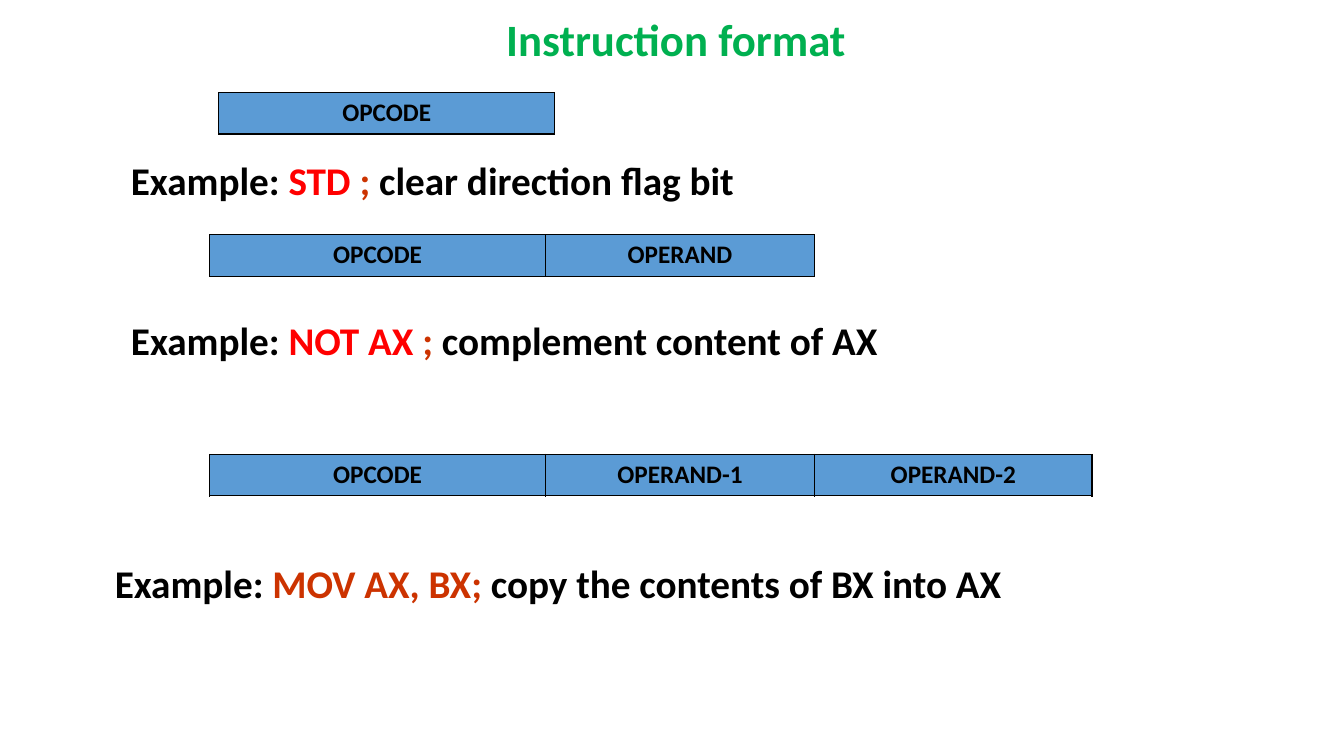
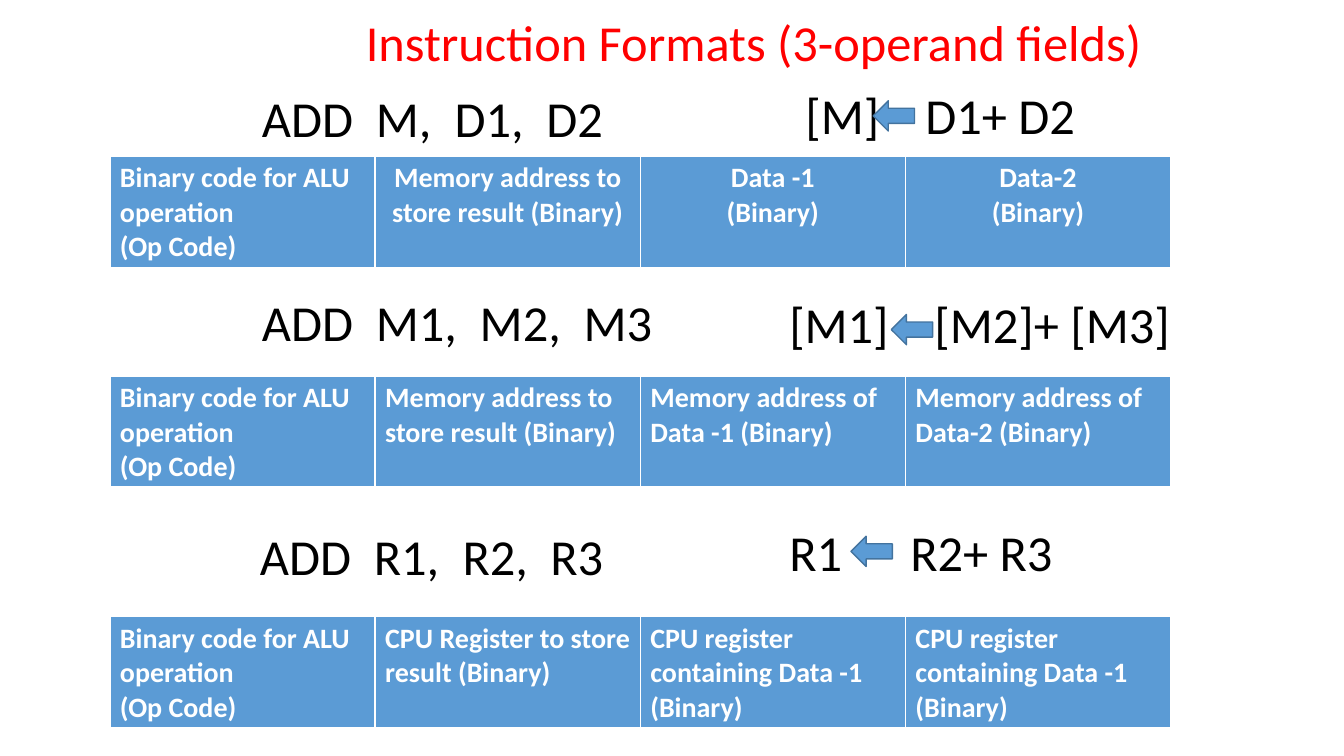
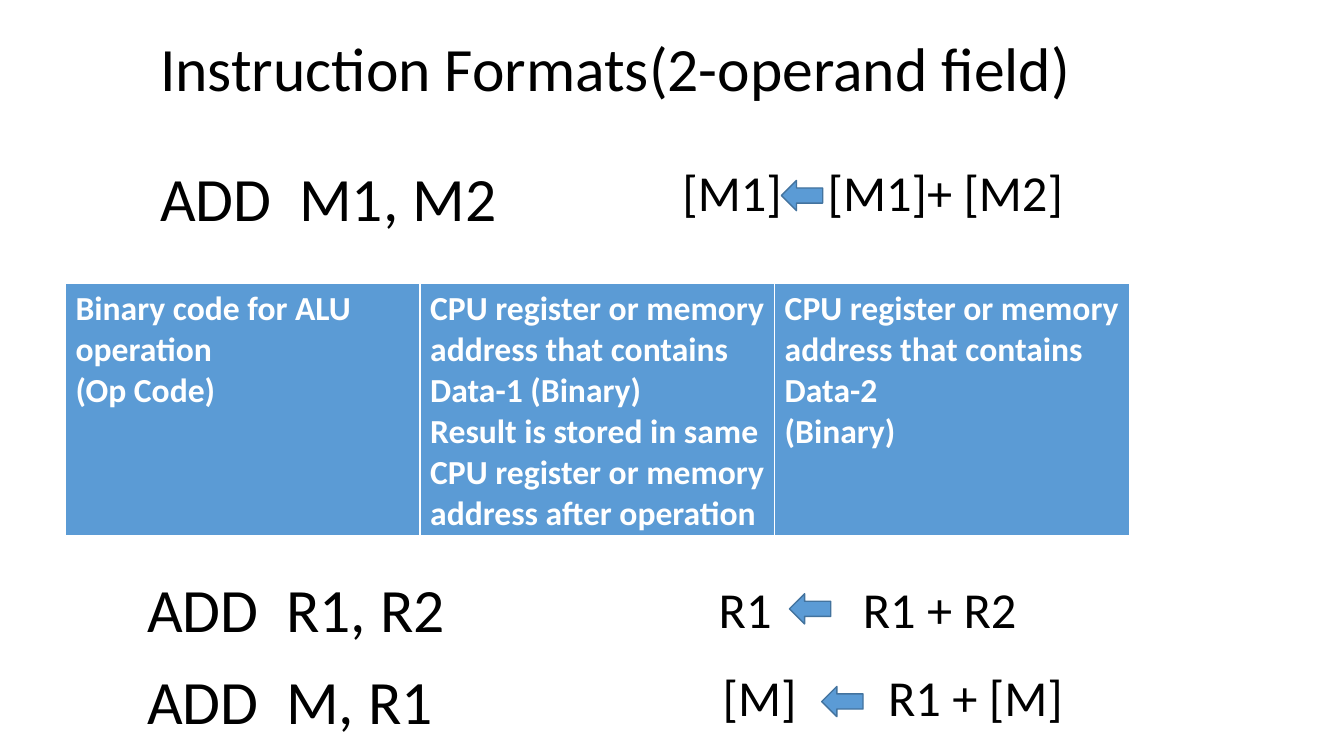
import pptx
import pptx.dml.color
import pptx.enum.shapes
import pptx.enum.text
import pptx.oxml
import pptx.oxml.ns
import pptx.util
from pptx.util import Inches

RGBColor = pptx.dml.color.RGBColor
Align = pptx.enum.text.PP_ALIGN
Anchor = pptx.enum.text.MSO_ANCHOR

FONT = "Calibri"
BLACK = RGBColor(0x00, 0x00, 0x00)
WHITE = RGBColor(0xFF, 0xFF, 0xFF)
GREEN = RGBColor(0x00, 0xB0, 0x50)
RED = RGBColor(0xFF, 0x00, 0x00)
RUST = RGBColor(0xCC, 0x33, 0x00)
BLUE = RGBColor(0x5B, 0x9B, 0xD5)
DARK_BLUE = RGBColor(0x43, 0x73, 0x9E)

OP_CODE = "Binary code for ALU operation\n(Op Code)"
FIELD_HEIGHT = 0.41
STATEMENT_HEIGHTS = {36: 0.61, 44: 0.91}


def set_font(paragraph, size, color, bold=False):
    font = paragraph.font
    font.name = FONT
    font.size = pptx.util.Pt(size)
    font.bold = bold
    font.color.rgb = color


def add_text_box(slide, box):
    text_frame = slide.shapes.add_textbox(*map(Inches, box)).text_frame
    text_frame.word_wrap = True
    return text_frame


def add_line(slide, text, box, size, color=BLACK, bold=False, align=Align.LEFT, tabs=()):
    """Add one vertically centred line; tabs are stops in inches from the text's left edge."""
    text_frame = add_text_box(slide, box)
    text_frame.vertical_anchor = Anchor.MIDDLE
    paragraph = text_frame.paragraphs[0]
    paragraph.text = text
    paragraph.alignment = align
    paragraph.line_spacing = 0.9
    set_font(paragraph, size, color, bold)
    if tabs:
        properties = paragraph._p.get_or_add_pPr()
        tab_list = pptx.oxml.parse_xml(f"<a:tabLst {pptx.oxml.ns.nsdecls('a')}/>")
        for stop in tabs:
            tab_list.append(pptx.oxml.parse_xml(
                f'<a:tab {pptx.oxml.ns.nsdecls("a")} pos="{Inches(stop)}" algn="l"/>'))
        properties.append(tab_list)


def set_borders(cell, color):
    properties = cell._tc.get_or_add_tcPr()
    for index, side in enumerate(("lnL", "lnR", "lnT", "lnB")):
        properties.insert(index, pptx.oxml.parse_xml(
            f'<a:{side} {pptx.oxml.ns.nsdecls("a")} w="12700"><a:solidFill>'
            f'<a:srgbClr val="{color}"/></a:solidFill></a:{side}>'))


def add_field_table(slide, box, texts, size, color, border, alignments=None):
    """Add a one-row table with equal columns, one for each instruction field."""
    table = slide.shapes.add_table(1, len(texts), *map(Inches, box)).table
    alignments = alignments or [Align.LEFT] * len(texts)
    for cell, text, alignment in zip(table.rows[0].cells, texts, alignments):
        cell.text = text
        cell.fill.solid()
        cell.fill.fore_color.rgb = BLUE
        set_borders(cell, border)
        for paragraph in cell.text_frame.paragraphs:
            paragraph.alignment = alignment
            set_font(paragraph, size, color, bold=True)


def add_format_row(slide, left, top, fields):
    for text, width in fields:
        add_field_table(slide, (left, top, width, FIELD_HEIGHT), [text], 18,
                        BLACK, BLACK, [Align.CENTER])
        left += width


def add_example(slide, box, parts):
    paragraph = add_text_box(slide, box).paragraphs[0]
    set_font(paragraph, 28, BLACK, bold=True)
    for text, color in [("Example: ", BLACK)] + parts:
        run = paragraph.add_run()
        run.text = text
        run.font.color.rgb = color


def add_statement(slide, left, top, text, size, tabs):
    width = 4.17 if size == 36 else 4.45
    add_line(slide, text, (left, top, width, STATEMENT_HEIGHTS[size]), size, tabs=tabs)


def add_transfer(slide, left, top, text, tab, arrow_offset):
    """Add a register transfer with its arrow at an offset from the text box."""
    add_statement(slide, left, top, text, 36, [tab])
    dx, dy = arrow_offset
    arrow = slide.shapes.add_shape(
        pptx.enum.shapes.MSO_SHAPE.LEFT_ARROW,
        Inches(left + dx), Inches(top + dy), Inches(0.41), Inches(0.3))
    arrow.shadow.inherit = False
    arrow.fill.solid()
    arrow.fill.fore_color.rgb = BLUE
    arrow.line.color.rgb = DARK_BLUE
    arrow.line.width = pptx.util.Pt(1)


def build_format_slide(slide):
    add_line(slide, "Instruction format", (1.83, 0.08, 9.75, 0.67), 32, GREEN,
             bold=True, align=Align.CENTER)
    opcode = ("OPCODE", 3.33)
    add_format_row(slide, 2.17, 0.92, [opcode])
    add_format_row(slide, 2.08, 2.33, [opcode, ("OPERAND", 2.67)])
    add_format_row(slide, 2.08, 4.51, [opcode, ("OPERAND-1", 2.67), ("OPERAND-2", 2.75)])
    add_example(slide, (1.2, 1.5, 9.46, 0.67),
                [("STD", RED), (" ; ", RUST), ("clear direction flag bit", BLACK)])
    add_example(slide, (1.2, 3.09, 10.05, 0.67),
                [("NOT AX ", RED), ("; ", RUST), ("complement content of AX", BLACK)])
    add_example(slide, (1.04, 5.5, 10.37, 1.42),
                [("MOV AX, BX; ", RUST), ("copy the contents of BX into AX", BLACK)])


def build_three_operand_slide(slide):
    add_line(slide, "Instruction Formats (3-operand fields)", (3.53, 0.13, 9.06, 0.64), 36, RED)
    tables = [
        (1.55, ["Memory address to store result (Binary)", "Data -1\n(Binary)",
                "Data-2\n(Binary)"], Align.CENTER),
        (3.73, ["Memory address to store result (Binary)", "Memory address of Data -1 (Binary)",
                "Memory address of Data-2 (Binary)"], Align.LEFT),
        (6.12, ["CPU Register to store result (Binary)"]
         + ["CPU register containing Data -1 (Binary)"] * 2, Align.LEFT),
    ]
    for top, operands, alignment in tables:
        add_field_table(slide, (1.09, top, 10.52, 1.1), [OP_CODE] + operands, 20,
                        WHITE, WHITE, [Align.LEFT] + [alignment] * 3)
    for left, top, text, tabs in (
        (2.5, 0.9, "ADD\tM,\tD1,\tD2", (1.13, 1.91, 2.82)),
        (2.5, 2.92, "ADD\tM1,\tM2,\tM3", (1.13, 2.16, 3.19)),
        (2.48, 5.24, "ADD\tR1,\tR2,\tR3", (1.13, 2.01, 2.88)),
    ):
        add_statement(slide, left, top, text, 36, tabs)
    add_transfer(slide, 7.89, 0.87, "[M]\tD1+ D2", 1.19, (0.77, 0.13))
    add_transfer(slide, 7.73, 2.94, "[M1]\t[M2]+ [M3]", 1.44, (1.11, 0.18))
    add_transfer(slide, 7.73, 5.2, "R1\tR2+ R3", 1.2, (0.71, 0.12))


def build_two_operand_slide(slide):
    add_line(slide, "Instruction Formats(2-operand field)", (1.49, 0.25, 9.7, 0.91), 44)
    add_field_table(slide, (0.65, 2.81, 10.55, 2.5), [
        OP_CODE,
        "CPU register or memory address that contains Data-1 (Binary)\n"
        "Result is stored in same CPU register or memory address after operation",
        "CPU register or memory address that contains Data-2\n(Binary)",
    ], 24, WHITE, WHITE)
    for left, top, operands in ((1.49, 1.54, "M1, M2"), (1.36, 5.62, "R1, R2"),
                                (1.36, 6.53, "M, R1")):
        add_statement(slide, left, top, f"ADD\t{operands}", 44, [1.38])
    add_transfer(slide, 6.67, 1.63, "[M1]\t[M1]+ [M2]", 1.44, (1.08, 0.16))
    add_transfer(slide, 7.03, 5.77, "R1\tR1 + R2", 1.43, (0.8, 0.12))
    add_transfer(slide, 7.07, 6.64, "[M]\tR1 + [M]", 1.64, (1.08, 0.17))


def main():
    presentation = pptx.Presentation()
    presentation.slide_width = Inches(13.33)
    presentation.slide_height = Inches(7.5)
    blank_layout = presentation.slide_layouts[6]
    for build in (build_format_slide, build_three_operand_slide, build_two_operand_slide):
        build(presentation.slides.add_slide(blank_layout))
    presentation.save("out.pptx")


if __name__ == "__main__":
    main()
